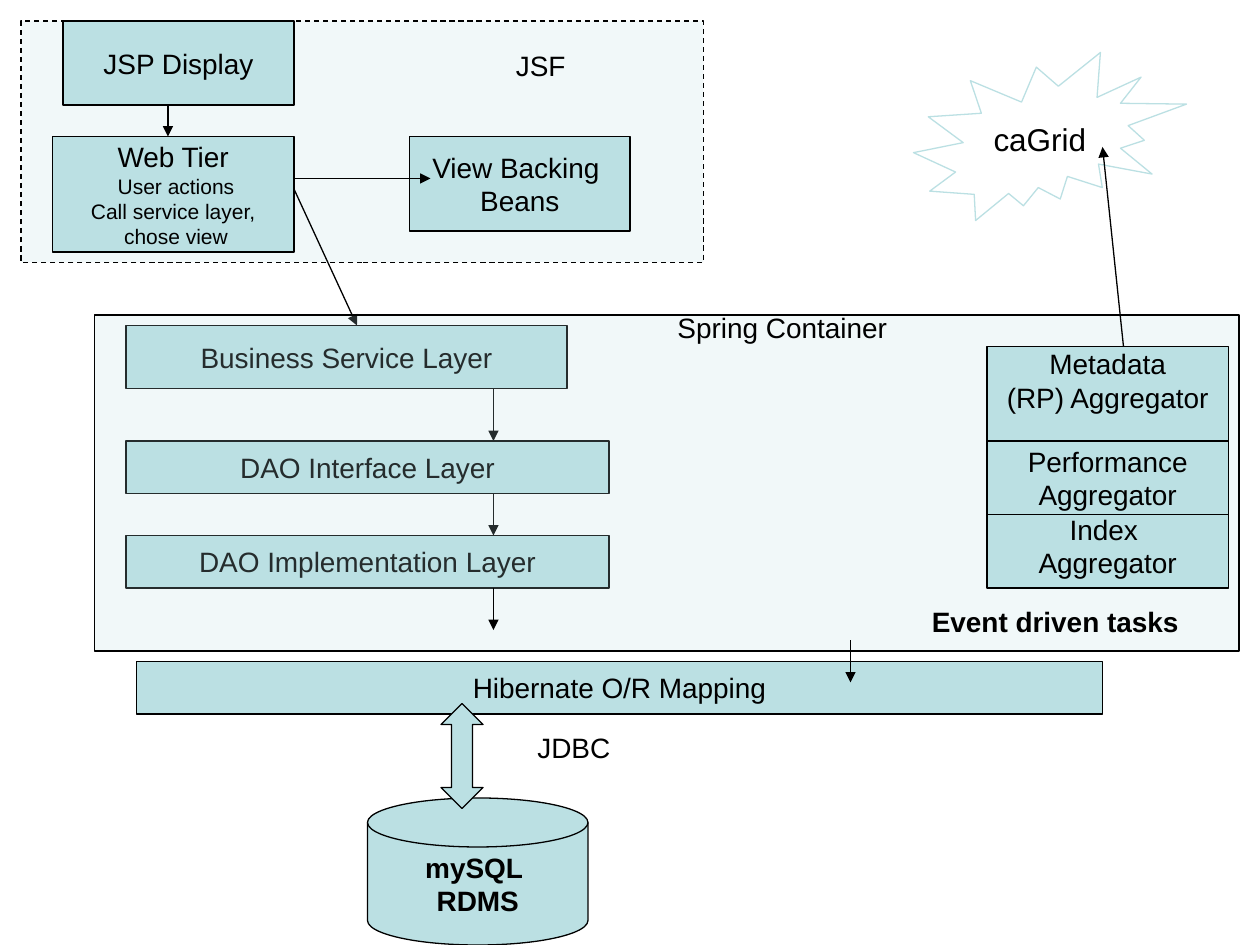
"""Build a slide of the layered web, service and data architecture."""
from typing import NamedTuple

from lxml import etree
from pptx import Presentation
from pptx import util as u
from pptx.dml.color import RGBColor
from pptx.enum import dml, shapes, text
from pptx.oxml.ns import qn

PX = u.Inches(1) // 120
FONT = "Arial"
BLACK = RGBColor(0x00, 0x00, 0x00)
WHITE = RGBColor(0xFF, 0xFF, 0xFF)
TEAL = RGBColor(0xBB, 0xE0, 0xE3)
KIND = shapes.MSO_SHAPE
ANCHOR = text.MSO_ANCHOR
ALIGN = text.PP_ALIGN


class Line(NamedTuple):
    words: str
    size: int = 16
    bold: bool = False


class Node(NamedTuple):
    x: int
    y: int
    w: int
    h: int
    lines: tuple[Line, ...] = ()
    kind: KIND = KIND.RECTANGLE
    fill: RGBColor = TEAL
    edge: RGBColor = BLACK
    alpha: int = 100
    dash: bool = False
    top: bool = False


class Label(NamedTuple):
    x: int
    y: int
    w: int
    line: Line
    align: ALIGN = ALIGN.CENTER


class Arrow(NamedTuple):
    x1: int
    y1: int
    x2: int
    y2: int


def write(frame, lines: tuple[Line, ...], align: ALIGN) -> None:
    for i, line in enumerate(lines):
        para = frame.add_paragraph() if i else frame.paragraphs[0]
        para.alignment = align
        run = para.add_run()
        run.text = line.words
        run.font.name = FONT
        run.font.size = u.Pt(line.size)
        run.font.bold = line.bold
        run.font.color.rgb = BLACK


def draw_node(slide, node: Node):
    box = slide.shapes.add_shape(
        node.kind, node.x * PX, node.y * PX, node.w * PX, node.h * PX)
    box.shadow.inherit = False
    box.fill.solid()
    box.fill.fore_color.rgb = node.fill
    if node.alpha < 100:
        color = box.fill._xPr.find(qn("a:solidFill"))[0]
        etree.SubElement(color, qn("a:alpha"), val=str(node.alpha * 1000))
    box.line.color.rgb = node.edge
    box.line.width = u.Pt(0.75)
    if node.dash:
        box.line.dash_style = dml.MSO_LINE.DASH
    frame = box.text_frame
    frame.word_wrap = False
    frame.vertical_anchor = ANCHOR.TOP if node.top else ANCHOR.MIDDLE
    if node.top:
        frame.margin_top = 0
    write(frame, node.lines, ALIGN.CENTER)
    return box


def draw_label(slide, label: Label):
    box = slide.shapes.add_textbox(
        label.x * PX, label.y * PX, label.w * PX, 44 * PX)
    box.text_frame.word_wrap = True
    write(box.text_frame, (label.line,), label.align)
    return box


def draw_arrow(slide, arrow: Arrow):
    link = slide.shapes.add_connector(
        shapes.MSO_CONNECTOR.STRAIGHT, *(v * PX for v in arrow))
    link.line.color.rgb = BLACK
    link.line.width = u.Pt(0.75)
    etree.SubElement(link.line._get_or_add_ln(), qn("a:tailEnd"), type="triangle")
    etree.SubElement(link._element.spPr, qn("a:effectLst"))
    return link


DRAW = {Node: draw_node, Label: draw_label, Arrow: draw_arrow}

PARTS = (
    Node(20, 20, 650, 230, alpha=20, dash=True),
    Node(350, 760, 210, 140,
         (Line("mySQL ", bold=True), Line("RDMS", bold=True)),
         KIND.FLOWCHART_MAGNETIC_DISK),
    Node(130, 630, 920, 50, (Line("Hibernate O/R Mapping"),)),
    Node(420, 670, 40, 100, kind=KIND.UP_DOWN_ARROW),
    Label(500, 690, 120, Line("JDBC"), ALIGN.LEFT),
    Node(120, 420, 460, 50, (Line("DAO Interface Layer"),)),
    Node(120, 310, 420, 60, (Line("Business Service Layer"),)),
    Node(50, 130, 230, 110,
         (Line("Web Tier"), Line(" User actions", 12),
          Line("Call service layer,", 12), Line(" chose view", 12))),
    Node(60, 20, 220, 80, (Line("JSP Display"),)),
    Arrow(160, 100, 160, 130),
    Arrow(280, 180, 340, 310),
    Arrow(470, 370, 470, 420),
    Node(120, 510, 460, 50, (Line("DAO Implementation Layer"),)),
    Arrow(470, 470, 470, 510),
    Node(390, 130, 210, 90, (Line("View Backing "), Line("Beans"))),
    Arrow(280, 170, 410, 170),
    Label(440, 40, 150, Line("JSF")),
    Node(90, 300, 1090, 320, alpha=20),
    Arrow(470, 560, 470, 600),
    Label(580, 290, 330, Line("Spring Container")),
    Node(940, 480, 230, 80, (Line("Index "), Line("Aggregator"))),
    Node(940, 420, 230, 70, (Line("Performance"), Line("Aggregator"))),
    Arrow(810, 610, 810, 650),
    Label(810, 570, 390, Line("Event driven tasks", bold=True)),
    Node(940, 330, 230, 90,
         (Line("Metadata"), Line("(RP) Aggregator")), top=True),
    Node(870, 50, 260, 160, (Line("caGrid", 18),), KIND.EXPLOSION2,
         fill=WHITE, edge=TEAL, alpha=60),
    Arrow(1070, 330, 1050, 140),
)


def main() -> None:
    deck = Presentation()
    deck.slide_width = 1200 * PX
    deck.slide_height = 900 * PX
    slide = deck.slides.add_slide(deck.slide_layouts[6])
    for part in PARTS:
        DRAW[type(part)](slide, part)
    deck.save("out.pptx")


if __name__ == "__main__":
    main()
